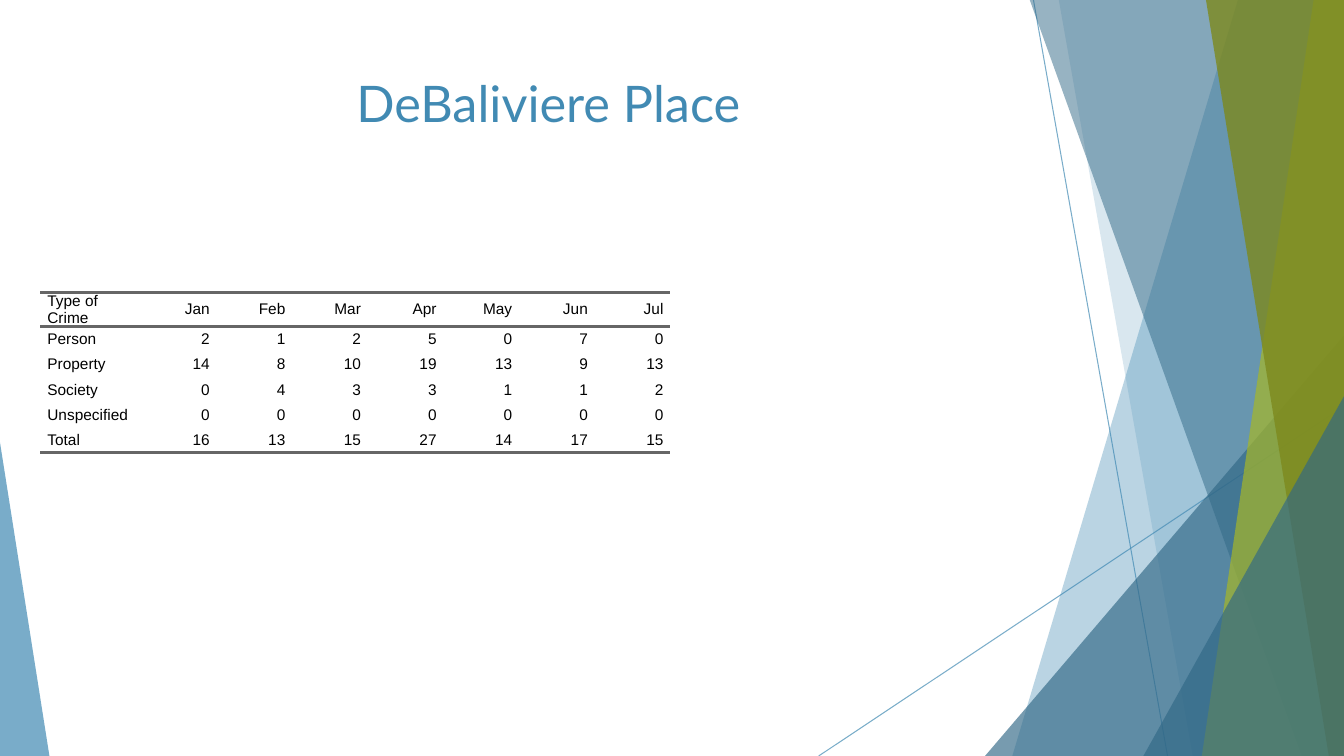
from dataclasses import dataclass

from lxml.etree import SubElement
from pptx import Presentation
from pptx.dml.color import RGBColor
from pptx.enum.shapes import MSO_CONNECTOR, MSO_SHAPE
from pptx.enum.text import MSO_ANCHOR, PP_ALIGN
from pptx.oxml import parse_xml
from pptx.oxml.ns import nsdecls, qn
from pptx.util import Inches, Pt


@dataclass(frozen=True)
class Theme:
    """Colours, fonts and type sizes of the slide."""
    blue: str = "418AB3"
    navy: str = "316886"
    lime: str = "A6B727"
    olive: str = "7D891D"
    rule: str = "666666"
    ink: str = "000000"
    head: str = "Lato"
    body: str = "Arial"
    big: int = 36
    small: int = 11


THEME = Theme()
WIDTH, HEIGHT = 13.33, 7.5
NO_STYLE = "{2D5ABB26-0587-4C30-8999-92F81FD0307C}"
CRIMES = [
    ("Type of Crime", "Jan", "Feb", "Mar", "Apr", "May", "Jun", "Jul"),
    ("Person", 2, 1, 2, 5, 0, 7, 0),
    ("Property", 14, 8, 10, 19, 13, 9, 13),
    ("Society", 0, 4, 3, 3, 1, 1, 2),
    ("Unspecified", 0, 0, 0, 0, 0, 0, 0),
    ("Total", 16, 13, 15, 27, 14, 17, 15),
]


def fade(shape, alpha):
    """Make the colour of a shape or line see-through."""
    for color in shape.element.spPr.iter(qn("a:srgbClr")):
        SubElement(color, qn("a:alpha"), val=str(alpha * 1000))


def paint(shape, color, alpha):
    """Give a shape a see-through fill and no outline."""
    shape.shadow.inherit = False
    shape.fill.solid()
    shape.fill.fore_color.rgb = RGBColor.from_string(color)
    shape.line.fill.background()
    fade(shape, alpha)


def add_line(slide, start, end):
    """Draw a thin blue line between two points."""
    points = [Inches(n) for n in (*start, *end)]
    line = slide.shapes.add_connector(MSO_CONNECTOR.STRAIGHT, *points)
    line.line.color.rgb = RGBColor.from_string(THEME.blue)
    line.line.width = Pt(0.75)
    fade(line, 70)
    SubElement(line.element.spPr, qn("a:effectLst"))


def add_pane(slide, top, base, color, alpha):
    """Draw a full-height pane whose left edge slants from top to base."""
    edge = [(WIDTH, -0.01), (WIDTH, HEIGHT), (base, HEIGHT)]
    form = slide.shapes.build_freeform(Inches(top), Inches(-0.01))
    form.add_line_segments([(Inches(x), Inches(y)) for x, y in edge])
    paint(form.convert_to_shape(), color, alpha)


def add_wedge(slide, left, top, width, tip, color, alpha):
    """Draw a triangle standing on the slide's lower edge."""
    box = [Inches(n) for n in (left, top, width, HEIGHT - top)]
    wedge = slide.shapes.add_shape(MSO_SHAPE.ISOSCELES_TRIANGLE, *box)
    wedge.adjustments[0] = tip
    paint(wedge, color, alpha)


def style_text(para, font, size, color, align):
    """Set the alignment and font of a paragraph."""
    para.alignment = align
    for run in para.runs:
        run.font.name = font
        run.font.size = Pt(size)
        run.font.color.rgb = RGBColor.from_string(color)


def add_title(slide, text):
    """Add the centred slide title."""
    box = [Inches(n) for n in (0.74, 0.67, 9.4, 1.44)]
    frame = slide.shapes.add_textbox(*box).text_frame
    frame.word_wrap = True
    frame.text = text
    style_text(frame.paragraphs[0], THEME.head, THEME.big, THEME.blue,
               PP_ALIGN.CENTER)


def add_rule(cell, side):
    """Draw a grey border on one side of a cell."""
    cell._tc.get_or_add_tcPr().append(parse_xml(
        f'<a:{side} {nsdecls("a")} w="{Pt(2)}"><a:solidFill>'
        f'<a:srgbClr val="{THEME.rule}"/></a:solidFill></a:{side}>'))


def fill_cell(cell, value, first, sides):
    """Write a value in a cell and set its look."""
    cell.text_frame.text = str(value)
    cell.vertical_anchor = MSO_ANCHOR.MIDDLE
    cell.margin_left = cell.margin_right = Inches(0.07)
    cell.margin_top = cell.margin_bottom = 0
    for side in sides:
        add_rule(cell, side)
    cell.fill.background()
    style_text(cell.text_frame.paragraphs[0], THEME.body, THEME.small,
               THEME.ink, PP_ALIGN.LEFT if first else PP_ALIGN.RIGHT)


def add_grid(slide, data):
    """Add the table with rules around its header and under its last row."""
    box = [Inches(n) for n in (0.4, 2.9, 6.25, 1.5)]
    frame = slide.shapes.add_table(len(data), len(data[0]), *box)
    for style in frame.element.iter(qn("a:tableStyleId")):
        style.text = NO_STYLE
    table = frame.table
    table.first_row = table.horz_banding = False
    for c, column in enumerate(table.columns):
        column.width = Inches(0.75 if c else 1)
    rules = {0: ("lnT", "lnB"), len(data) - 1: ("lnB",)}
    for r, row in enumerate(data):
        table.rows[r].height = Inches(0.25)
        for c, value in enumerate(row):
            fill_cell(table.cell(r, c), value, c == 0, rules.get(r, ()))


def main():
    """Build and save the slide."""
    deck = Presentation()
    deck.slide_width, deck.slide_height = Inches(WIDTH), Inches(HEIGHT)
    slide = deck.slides.add_slide(deck.slide_layouts[6])
    add_line(slide, (10.25, 0), (11.58, HEIGHT))
    add_line(slide, (WIDTH, 4.03), (8.12, HEIGHT))
    add_pane(slide, 12.28, 10.04, THEME.blue, 36)
    add_pane(slide, 10.5, 11.83, THEME.blue, 20)
    add_wedge(slide, 9.77, 3.33, 3.56, 1, THEME.navy, 66)
    add_pane(slide, 10.21, 12.91, THEME.navy, 50)
    add_pane(slide, 13.03, 11.92, THEME.lime, 70)
    add_pane(slide, 11.96, 13.18, THEME.olive, 80)
    add_wedge(slide, 11.34, 3.93, 1.99, 1, THEME.navy, 66)
    add_wedge(slide, 0, 4.39, 0.49, 0, THEME.blue, 70)
    add_grid(slide, CRIMES)
    add_title(slide, "DeBaliviere Place")
    deck.save("out.pptx")


if __name__ == "__main__":
    main()
